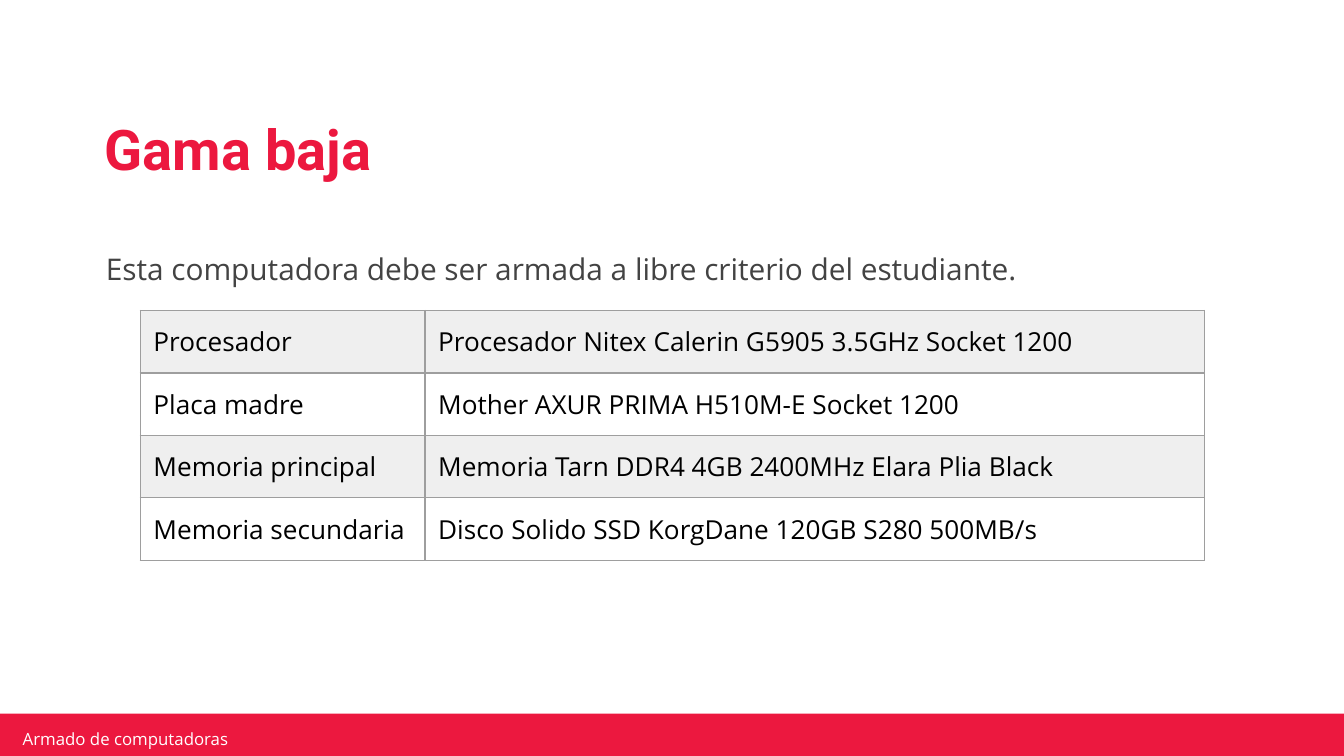
from lxml.etree import SubElement
from pptx import Presentation
from pptx.dml.color import RGBColor
from pptx.enum.dml import MSO_LINE
from pptx.enum.shapes import MSO_CONNECTOR, MSO_SHAPE
from pptx.enum.text import MSO_ANCHOR
from pptx.oxml.ns import qn
from pptx.util import Cm, Pt

RED = "EC183F"
WHITE = "FFFFFF"
STRIPE = "EFEFEF"
BORDER = "9E9E9E"

TITLE = {"name": "Roboto", "size": Pt(30), "bold": True}
BODY = {"name": "Open Sans", "size": Pt(16)}
CELL = {"name": "Open Sans", "size": Pt(14)}
FOOTER = {"name": "Open Sans", "size": Pt(9)}

PARTS = [
    ("Procesador", "Procesador Nitex Calerin G5905 3.5GHz Socket 1200"),
    ("Placa madre", "Mother AXUR PRIMA H510M-E Socket 1200"),
    ("Memoria principal", "Memoria Tarn DDR4 4GB 2400MHz Elara Plia Black"),
    ("Memoria secundaria", "Disco Solido SSD KorgDane 120GB S280 500MB/s"),
]


def rgb(value):
    return RGBColor.from_string(value)


def write(frame, text, style, color, spacing=None):
    para = frame.paragraphs[0]
    para.line_spacing = spacing
    span = para.add_run()
    span.text = text
    for key, value in style.items():
        setattr(span.font, key, value)
    span.font.color.rgb = rgb(color)


def set_margins(target, side, end):
    margins = {"margin_left": side, "margin_right": side,
               "margin_top": end, "margin_bottom": end}
    for key, value in margins.items():
        setattr(target, key, Cm(value))


def add_text(page, area, text, style, color, margins, anchor, spacing=None):
    box = page.shapes.add_textbox(*map(Cm, area))
    frame = box.text_frame
    frame.word_wrap = True
    frame.vertical_anchor = anchor
    set_margins(frame, *margins)
    write(frame, text, style, color, spacing)


def outline_cell(cell):
    properties = cell._tc.get_or_add_tcPr()
    for index, side in enumerate(("a:lnL", "a:lnR", "a:lnT", "a:lnB")):
        line = properties.makeelement(qn(side), {"w": str(Pt(0.75))})
        fill = SubElement(line, qn("a:solidFill"))
        SubElement(fill, qn("a:srgbClr"), val=BORDER)
        properties.insert(index, line)  # borders come before the fill


def add_footer(page, left, top, width, height):
    # Dotted rule along the top edge of the band
    rule = page.shapes.add_connector(
        MSO_CONNECTOR.STRAIGHT, Cm(left), Cm(top + 0.03),
        Cm(left + width), Cm(top + 0.03))
    rule.line.color.rgb = rgb("FCD8D6")
    rule.line.width = Pt(0.75)
    rule.line.dash_style = MSO_LINE.ROUND_DOT
    SubElement(rule._element.spPr, qn("a:effectLst"))

    # Red band
    band = page.shapes.add_shape(
        MSO_SHAPE.RECTANGLE, Cm(left), Cm(top), Cm(width), Cm(height))
    band.shadow.inherit = False
    band.fill.solid()
    band.fill.fore_color.rgb = rgb(RED)
    band.line.fill.background()

    # Course name
    add_text(page, (left + 0.35, top + 0.28, 6.07, 0.38),
             "Armado de computadoras", FOOTER, WHITE, (0.13, 0.05),
             MSO_ANCHOR.MIDDLE)


def add_heading(page, left, top, width):
    add_text(page, (left, top, width, 2.36), "Gama baja", TITLE, RED,
             (0.23, 0.1), MSO_ANCHOR.MIDDLE, 0.9)
    add_text(page, (left, top + 2.57, width, 0.76),
             "Esta computadora debe ser armada a libre criterio del estudiante.",
             BODY, "434343", (0.25, 0.13), MSO_ANCHOR.TOP, 1.5)


def add_parts_table(page, left, top, widths, row_height):
    holder = page.shapes.add_table(
        len(PARTS), len(widths), Cm(left), Cm(top),
        Cm(sum(widths)), Cm(row_height * len(PARTS)))
    table = holder.table
    for column, width in zip(table.columns, widths):
        column.width = Cm(width)
    for row_index, texts in enumerate(PARTS):
        for column_index, text in enumerate(texts):
            cell = table.cell(row_index, column_index)
            set_margins(cell, 0.25, 0.25)
            cell.fill.solid()
            cell.fill.fore_color.rgb = rgb(WHITE if row_index % 2 else STRIPE)
            outline_cell(cell)
            write(cell.text_frame, text, CELL, "000000")


def main():
    deck = Presentation()
    deck.slide_width, deck.slide_height = Cm(25.4), Cm(14.29)
    page = deck.slides.add_slide(deck.slide_layouts[6])
    add_footer(page, -0.05, 13.49, 25.48, 0.91)
    add_heading(page, 1.75, 1.7, 22)
    add_parts_table(page, 2.65, 5.87, (5.38, 14.73), 1.18)
    deck.save("out.pptx")


if __name__ == "__main__":
    main()
